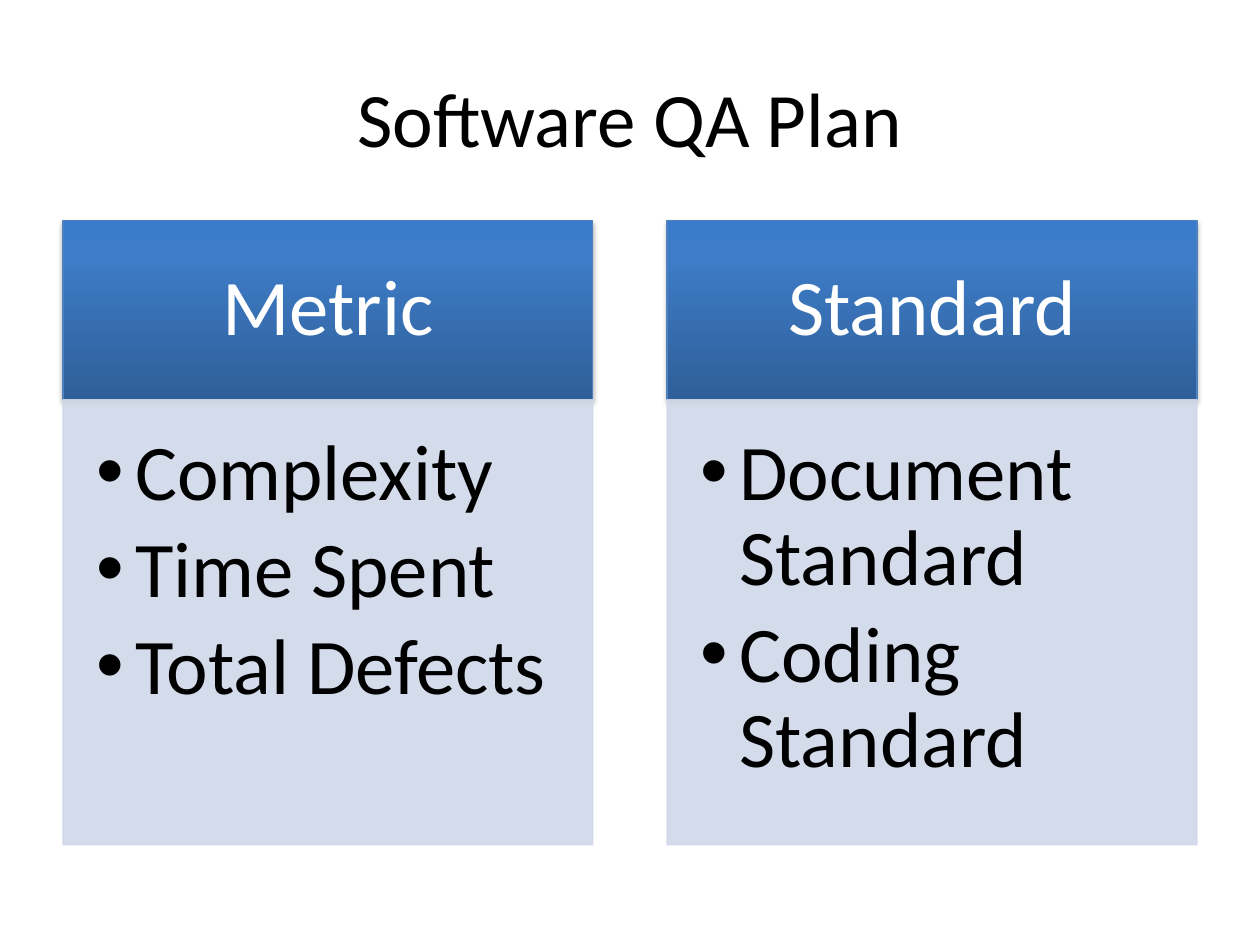
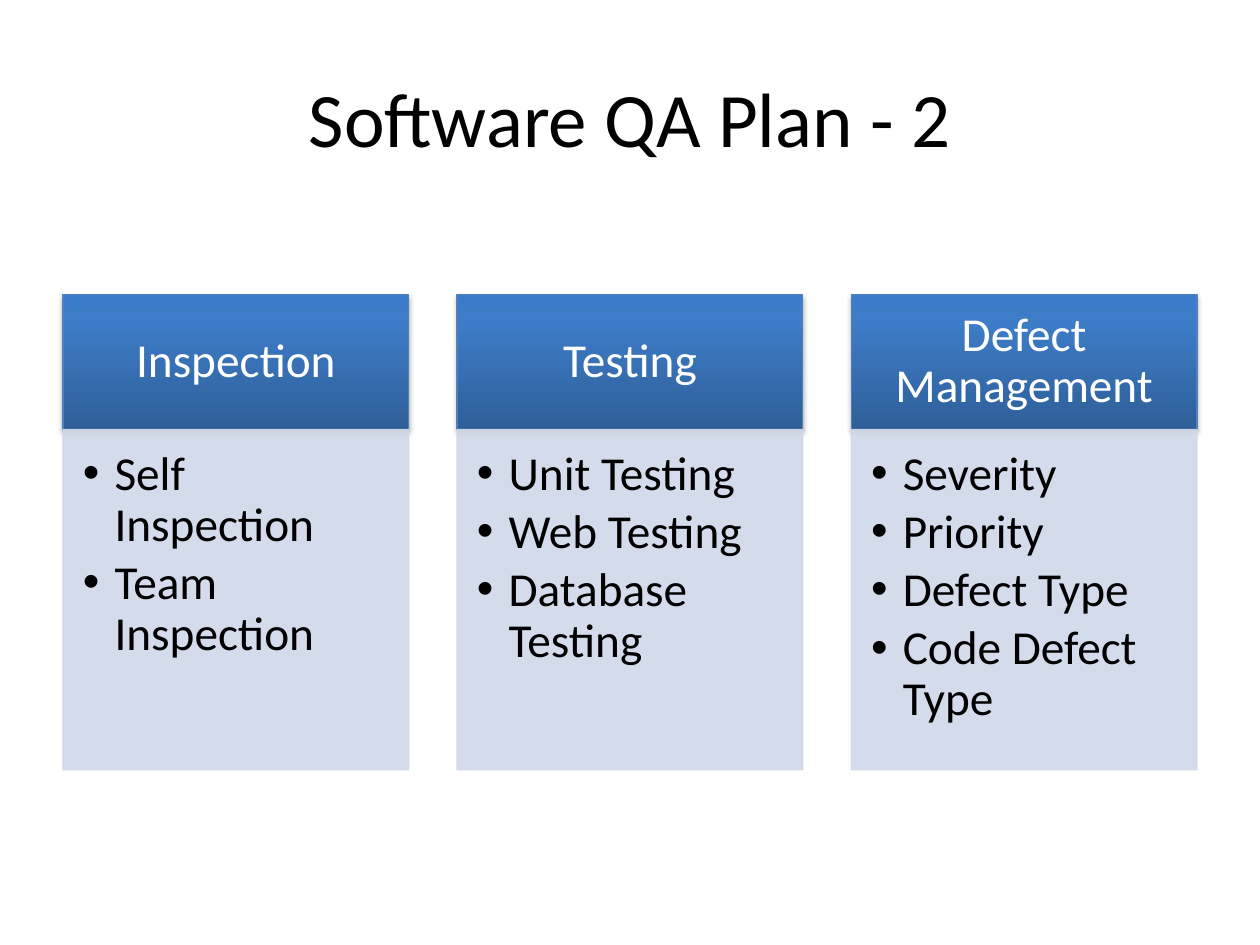
from lxml import etree
from pptx import Presentation
from pptx.dml.color import RGBColor
from pptx.enum import shapes, text
from pptx.oxml.ns import qn
from pptx.util import Cm, Pt

# Content: each column is a heading with its bullets
SLIDES = [
    {
        "title": "Software QA Plan",
        "top": 4.45, "header_height": 3.61, "body_height": 8.97,
        "size": 45, "indent": 0.79,
        "columns": [
            ("Metric", ["Complexity", "Time Spent", "Total Defects"]),
            ("Standard", ["Document Standard", "Coding Standard"]),
        ],
    },
    {
        "title": "Software QA Plan - 2",
        "top": 5.94, "header_height": 2.72, "body_height": 6.86,
        "size": 27, "indent": 0.64,
        "columns": [
            ("Inspection", ["Self Inspection", "Team Inspection"]),
            ("Testing", ["Unit Testing", "Web Testing", "Database Testing"]),
            ("Defect Management",
             ["Severity", "Priority", "Defect Type", "Code Defect Type"]),
        ],
    },
]

# Shared style
FONT = "Calibri"
BLACK = RGBColor(0x00, 0x00, 0x00)
WHITE = RGBColor(0xFF, 0xFF, 0xFF)
HEADER_LINE = RGBColor(0x4F, 0x81, 0xBD)
BODY_FILL = RGBColor(0xD0, 0xD8, 0xE8)
HEADER_STOPS = [
    (0, RGBColor(0x2F, 0x5F, 0x99)),
    (80, RGBColor(0x3D, 0x7C, 0xC7)),
    (100, RGBColor(0x3A, 0x7C, 0xCB)),
]
MARGIN, CONTENT_WIDTH = 1.27, 22.86
GAP_SHARE = 0.14  # gap between columns as a share of the column width
# Insets as shares of the font size: left, top, right, bottom
HEADER_INSETS = (0.56, 0.32, 0.56, 0.32)
BODY_INSETS = (0.42, 0.42, 0.56, 0.63)


def add_child(parent, tag, **attributes):
    child = etree.SubElement(parent, qn(tag))
    for name, value in attributes.items():
        child.set(name, str(value))
    return child


def style_paragraph(paragraph, size, color):
    for run in paragraph.runs:
        run.font.name = FONT
        run.font.size = Pt(size)
        run.font.color.rgb = color


def add_box(slide, box, lines, size, color, insets, anchor):
    shape = slide.shapes.add_shape(
        shapes.MSO_SHAPE.RECTANGLE, *(Cm(length) for length in box))
    shape.shadow.inherit = False
    shape.line.width = Pt(0.75)
    frame = shape.text_frame
    frame.word_wrap = True
    frame.vertical_anchor = anchor
    (frame.margin_left, frame.margin_top,
     frame.margin_right, frame.margin_bottom) = (Pt(size * i) for i in insets)
    frame.text = "\n".join(lines)
    for paragraph in frame.paragraphs:
        paragraph.line_spacing = 0.9
        style_paragraph(paragraph, size, color)
    return shape


def add_header(slide, box, heading, size):
    shape = add_box(slide, box, [heading], size, WHITE, HEADER_INSETS,
                    text.MSO_ANCHOR.MIDDLE)
    shape.text_frame.paragraphs[0].alignment = text.PP_ALIGN.CENTER
    shape.line.color.rgb = HEADER_LINE
    # Gradient, dark at the bottom
    shape.fill.gradient()
    shape.fill.gradient_angle = 90
    properties = shape.element.spPr
    stops = properties.find(qn("a:gradFill")).find(qn("a:gsLst"))
    stops.clear()
    for position, color in HEADER_STOPS:
        stop = add_child(stops, "a:gs", pos=position * 1000)
        add_child(stop, "a:srgbClr", val=color)
    # Soft shadow below
    shadow = add_child(properties.find(qn("a:effectLst")), "a:outerShdw",
                       blurRad=Pt(3.1), dist=Pt(1.8), dir=5400000,
                       rotWithShape=0)
    shade = add_child(shadow, "a:srgbClr", val=BLACK)
    add_child(shade, "a:alpha", val=35000)


def add_body(slide, box, bullets, size, indent):
    shape = add_box(slide, box, bullets, size, BLACK, BODY_INSETS,
                    text.MSO_ANCHOR.TOP)
    shape.fill.solid()
    shape.fill.fore_color.rgb = BODY_FILL
    shape.line.color.rgb = BODY_FILL
    for color in shape.element.spPr.iter(qn("a:srgbClr")):
        add_child(color, "a:alpha", val=90000)
    for paragraph in shape.text_frame.paragraphs:
        paragraph.alignment = text.PP_ALIGN.LEFT
        paragraph.space_after = Pt(0.15 * size)
        properties = paragraph._p.get_or_add_pPr()
        properties.set("marL", str(Cm(indent)))
        properties.set("indent", str(-Cm(indent)))
        add_child(properties, "a:buFont", typeface="Arial")
        add_child(properties, "a:buChar", char="•")


def add_title(slide, words):
    title = slide.shapes.title
    title.left, title.top = Cm(MARGIN), Cm(0.76)
    title.width, title.height = Cm(CONTENT_WIDTH), Cm(3.18)
    title.text_frame.text = words
    title.text_frame.vertical_anchor = text.MSO_ANCHOR.MIDDLE
    paragraph = title.text_frame.paragraphs[0]
    paragraph.alignment = text.PP_ALIGN.CENTER
    style_paragraph(paragraph, 44, BLACK)


def add_plan_slide(presentation, plan):
    slide = presentation.slides.add_slide(presentation.slide_layouts[5])
    add_title(slide, plan["title"])
    count = len(plan["columns"])
    width = CONTENT_WIDTH / (count + GAP_SHARE * (count - 1))
    top, header_height = plan["top"], plan["header_height"]
    for index, (heading, bullets) in enumerate(plan["columns"]):
        left = MARGIN + index * width * (1 + GAP_SHARE)
        add_header(slide, (left, top, width, header_height),
                   heading, plan["size"])
        add_body(slide, (left, top + header_height, width, plan["body_height"]),
                 bullets, plan["size"], plan["indent"])


def main():
    presentation = Presentation()
    presentation.slide_width, presentation.slide_height = Cm(25.4), Cm(19.05)
    for plan in SLIDES:
        add_plan_slide(presentation, plan)
    presentation.save("out.pptx")


if __name__ == "__main__":
    main()
